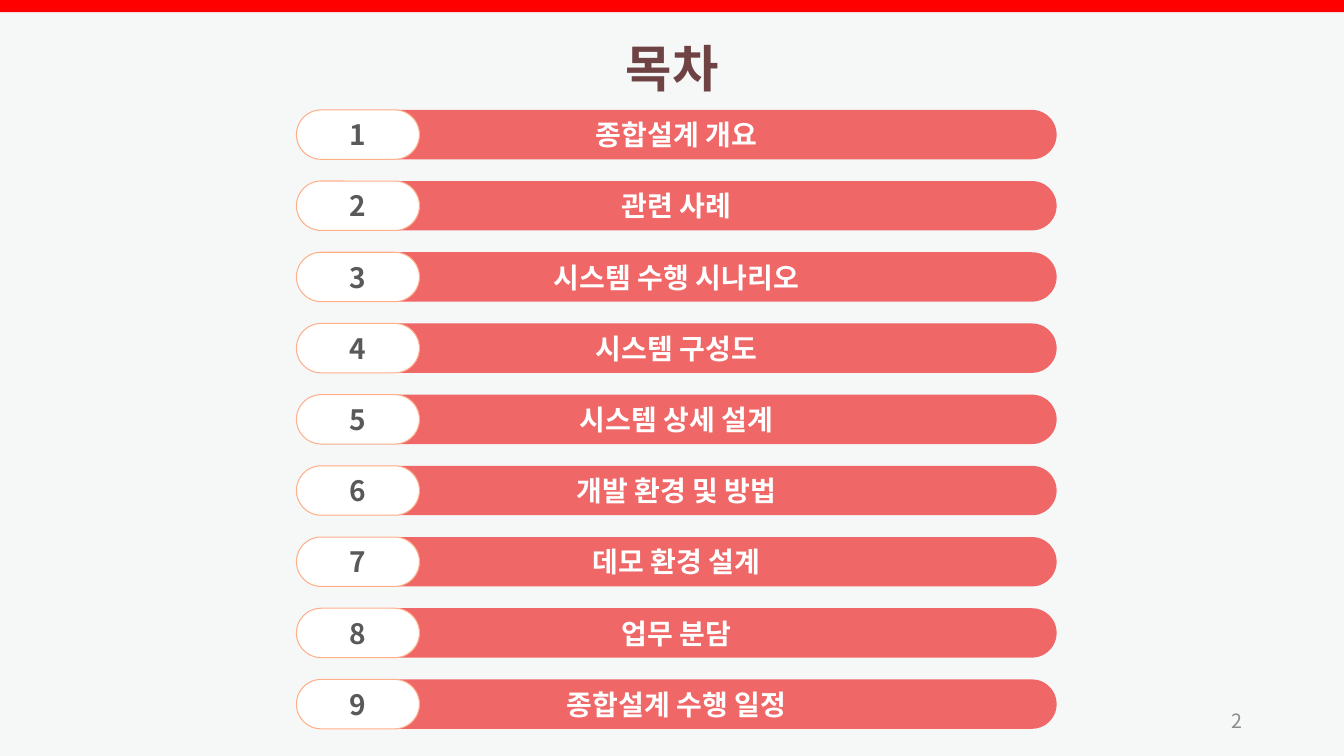
import lxml.etree
import pptx
import pptx.dml.color
import pptx.enum.shapes
import pptx.enum.text
import pptx.oxml.ns
import pptx.util

Inches = pptx.util.Inches
SHAPES = pptx.enum.shapes.MSO_SHAPE
ALIGN = pptx.enum.text.PP_ALIGN
ANCHOR = pptx.enum.text.MSO_ANCHOR

FONT = "Noto Sans CJK KR"
COLORS = {
    "background": "F6F8F8",
    "band": "FF0000",
    "bar": "EF6767",
    "white": "FFFFFF",
    "outline": "FFB08B",
    "number": "595959",
    "page": "8C8C8C",
    "title": "6F4343",
}
TOPICS = [
    "종합설계 개요",
    "관련 사례",
    "시스템 수행 시나리오",
    "시스템 구성도",
    "시스템 상세 설계",
    "개발 환경 및 방법",
    "데모 환경 설계",
    "업무 분담",
    "종합설계 수행 일정",
]


class ContentsSlide:
    def __init__(self, deck):
        self.slide = deck.slides.add_slide(deck.slide_layouts[5])
        background = self.slide.background.fill
        background.solid()
        background.fore_color.rgb = self.color("background")

    def color(self, name):
        return pptx.dml.color.RGBColor.from_string(COLORS[name])

    def label(self, frame, text, size, color, bold=True, align=ALIGN.CENTER, anchor=ANCHOR.MIDDLE):
        frame.text = text
        frame.word_wrap = True
        frame.vertical_anchor = anchor
        paragraph = frame.paragraphs[0]
        paragraph.alignment = align
        font = paragraph.runs[0].font
        font.name, font.size, font.bold = FONT, pptx.util.Pt(size), bold
        font.color.rgb = self.color(color)
        # Hangul takes its typeface from the East Asian font
        east_asian = lxml.etree.SubElement(font._element, pptx.oxml.ns.qn("a:ea"))
        east_asian.set("typeface", FONT)

    def title(self, text, left, top, width, height):
        heading = self.slide.shapes.title
        heading.left, heading.top = Inches(left), Inches(top)
        heading.width, heading.height = Inches(width), Inches(height)
        frame = heading.text_frame
        self.label(frame, text, 36, "title", anchor=ANCHOR.TOP)
        frame.auto_size = pptx.enum.text.MSO_AUTO_SIZE.SHAPE_TO_FIT_TEXT
        frame.paragraphs[0].line_spacing = 1.5

    def shape(self, parent, kind, left, top, width, height, fill, outline=None):
        block = parent.shapes.add_shape(kind, Inches(left), Inches(top), Inches(width), Inches(height))
        block.shadow.inherit = False
        block.fill.solid()
        block.fill.fore_color.rgb = self.color(fill)
        if outline:
            block.line.color.rgb = self.color(outline)
            block.line.width = pptx.util.Pt(0.75)
        else:
            block.line.fill.background()
        return block

    def pill(self, parent, text, top, width, fill, color, outline=None):
        pill = self.shape(parent, SHAPES.ROUNDED_RECTANGLE, 2.94, top, width, 0.49, fill, outline)
        pill.adjustments[0] = 0.5
        self.label(pill.text_frame, text, 20, color)

    def topic(self, number, text, top):
        entry = self.slide.shapes.add_group_shape()
        self.pill(entry, text, top, 7.54, "bar", "white")
        self.pill(entry, str(number), top, 1.22, "white", "number", "outline")

    def page_number(self, text, left, top, width, height):
        page = self.slide.shapes.add_textbox(Inches(left), Inches(top), Inches(width), Inches(height))
        self.label(page.text_frame, text, 14, "page", bold=False, align=ALIGN.RIGHT)


def main():
    deck = pptx.Presentation()
    deck.slide_width, deck.slide_height = Inches(13.33), Inches(7.5)
    contents = ContentsSlide(deck)

    # Top band and title
    contents.shape(contents.slide, SHAPES.RECTANGLE, 0, 0, 13.33, 0.12, "band")
    contents.title("목차", 3.39, 0.02, 6.55, 0.99)

    # Numbered topics, evenly spaced between the first and last row
    first_top, last_top = 1.09, 6.74
    pitch = (last_top - first_top) / (len(TOPICS) - 1)
    for index, topic in enumerate(TOPICS):
        contents.topic(index + 1, topic, first_top + index * pitch)

    # Page number
    contents.page_number("2", 9.42, 6.95, 3, 0.4)

    deck.save("out.pptx")


if __name__ == "__main__":
    main()
